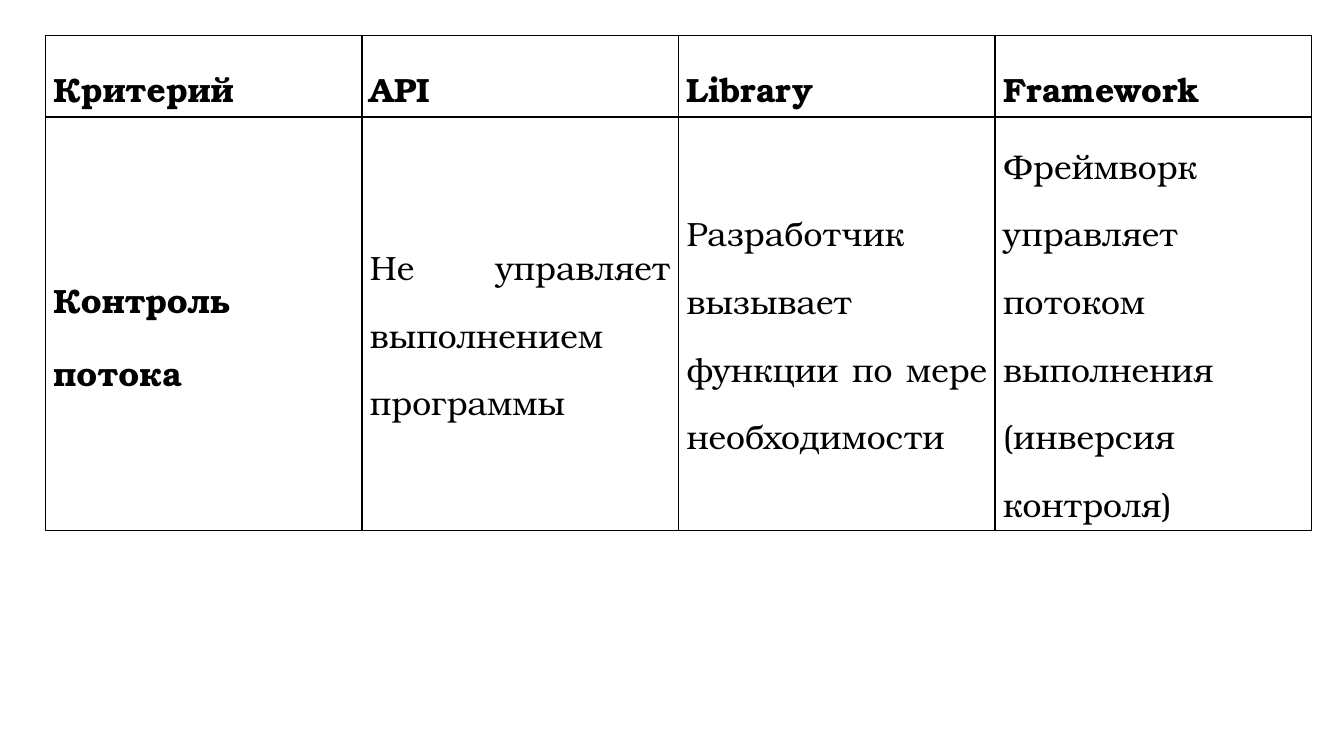
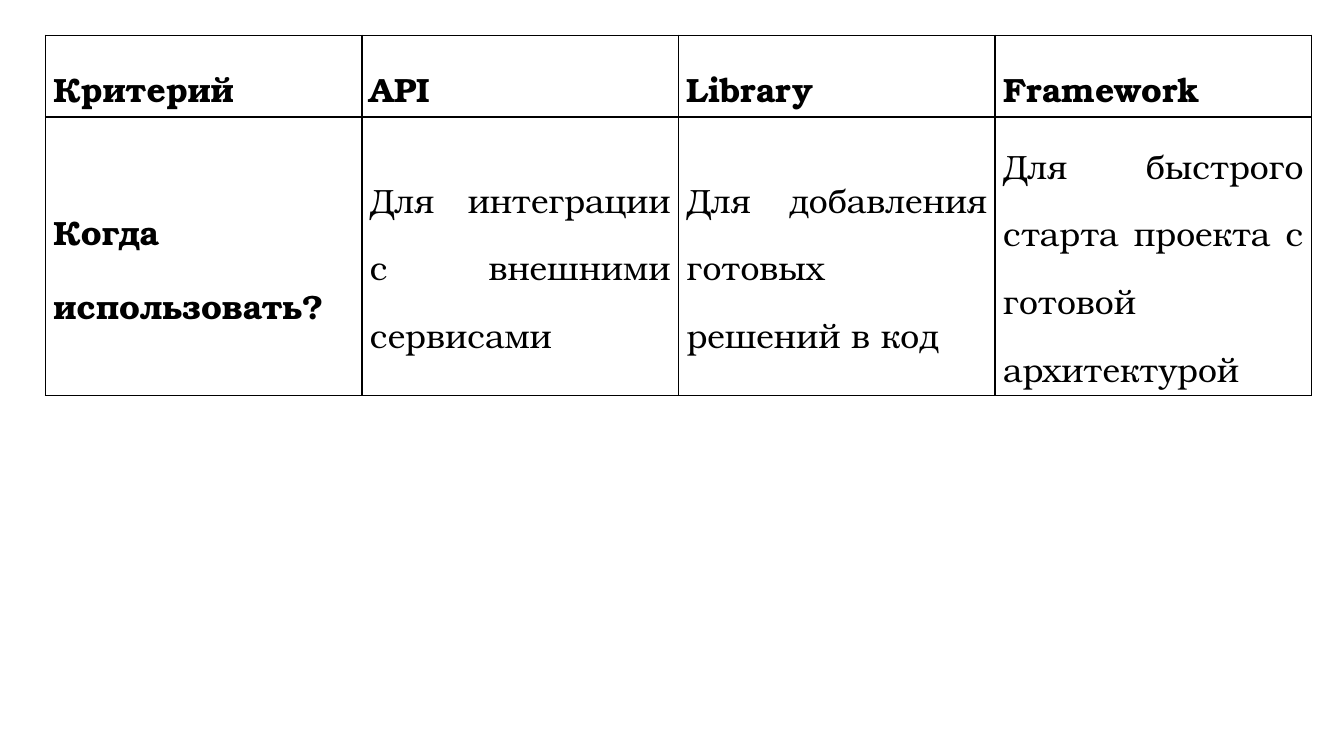
from lxml import etree
from pptx import Presentation
from pptx.dml.color import RGBColor
from pptx.enum import text
from pptx.oxml import ns
from pptx.util import Inches, Pt

# Shared style
BLACK = RGBColor(0, 0, 0)
FONT = "TeX Gyre Bonum"
SIZE = Pt(24)
LEFT, TOP, WIDTH = 0.45, 0.35, 12.56
HEAD_H = 0.8
PAD_X, PAD_Y = Inches(0.08), Inches(0.04)

# Content: shared header, then one row and its height per slide
HEAD = ["Критерий", "API", "Library", "Framework"]
SLIDES = [
    (4.1, ["Контроль потока",
           "Не управляет выполнением программы",
           "Разработчик вызывает функции по мере необходимости",
           "Фреймворк управляет потоком выполнения (инверсия контроля)"]),
    (2.75, ["Когда использовать?",
            "Для интеграции с внешними сервисами",
            "Для добавления готовых решений в код",
            "Для быстрого старта проекта с готовой архитектурой"]),
]


def set_border(cell):
    """Draw a thin black line on all four sides."""
    props = cell._tc.get_or_add_tcPr()
    for side in ("lnL", "lnR", "lnT", "lnB"):
        line = etree.SubElement(props, ns.qn(f"a:{side}"), w=str(Pt(1)))
        fill = etree.SubElement(line, ns.qn("a:solidFill"))
        etree.SubElement(fill, ns.qn("a:srgbClr"), val=str(BLACK))


def fill_cell(cell, words, bold):
    """Format one cell and write its text."""
    set_border(cell)
    cell.fill.background()
    cell.vertical_anchor = text.MSO_ANCHOR.MIDDLE
    cell.margin_left = cell.margin_right = PAD_X
    cell.margin_top = cell.margin_bottom = PAD_Y
    para = cell.text_frame.paragraphs[0]
    para.alignment = text.PP_ALIGN.JUSTIFY
    para.line_spacing = 1.5
    run = para.add_run()
    run.text = words
    font = run.font
    font.name, font.size, font.bold = FONT, SIZE, bold
    font.color.rgb = BLACK


def add_grid(slide, rows, heights):
    """Add a table with equal columns, a bold first row and column."""
    frame = slide.shapes.add_table(
        len(rows), len(rows[0]), Inches(LEFT), Inches(TOP),
        Inches(WIDTH), Inches(sum(heights)))
    table = frame.table
    table.horz_banding = False
    for r, (row, height) in enumerate(zip(rows, heights)):
        table.rows[r].height = Inches(height)
        for c, words in enumerate(row):
            fill_cell(table.cell(r, c), words, bold=r == 0 or c == 0)


def main():
    deck = Presentation()
    deck.slide_width, deck.slide_height = Inches(13.33), Inches(7.5)
    blank = deck.slide_layouts[6]
    for height, row in SLIDES:
        add_grid(deck.slides.add_slide(blank), [HEAD, row], [HEAD_H, height])
    deck.save("out.pptx")


if __name__ == "__main__":
    main()
